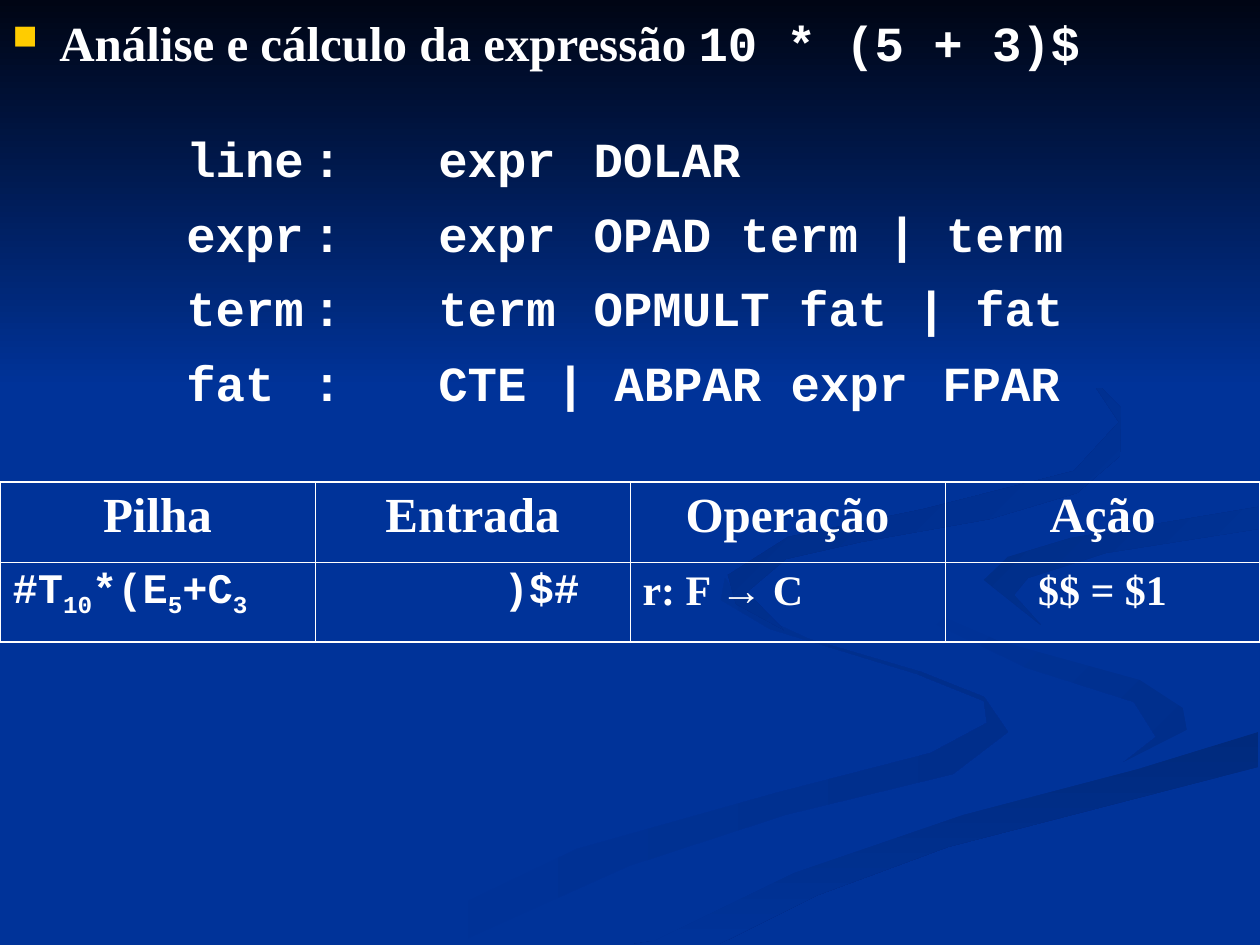
import pptx
import pptx.util
import pptx.dml.color
import pptx.enum.shapes
import pptx.enum.text
import pptx.oxml
import pptx.oxml.ns

RGBColor = pptx.dml.color.RGBColor
ALIGN = pptx.enum.text.PP_ALIGN
SCALE = 914400 / 126  # EMU per px
W, H = 1260, 945

BLUE = RGBColor(0x00, 0x33, 0x99)
NIGHT = RGBColor(0x00, 0x05, 0x14)
BAND_A = RGBColor(0x00, 0x2E, 0x8B)
BAND_B = RGBColor(0x00, 0x2A, 0x7D)
BAND_C = RGBColor(0x00, 0x2D, 0x86)
BAND_D = RGBColor(0x00, 0x2B, 0x82)
WHITE = RGBColor(0xFF, 0xFF, 0xFF)
SERIF, MONO = "Times New Roman", "Courier New"

# Content
TITLE = [("Análise e cálculo da expressão ", SERIF), ("10 * (5 + 3)$", MONO)]
GRAMMAR = [
    "\tline\t:\texpr\t DOLAR",
    "\texpr\t:\texpr\t OPAD term | term",
    "\tterm\t:\tterm\t OPMULT fat | fat",
    "\tfat\t:\tCTE | ABPAR expr\tFPAR",
]
TAB_START, TAB_STEP = 174, 126
GRAMMAR_TABS = [TAB_START + TAB_STEP * n for n in (0, 1, 2, 3, 6)]
HEADERS = ["Pilha", "Entrada", "Operação", "Ação"]
STACK = [("#T", False), ("10", True), ("*(E", False), ("5", True), ("+C", False), ("3", True)]
STEP = [
    dict(runs=STACK, font=MONO),
    dict(runs=[(")$#", False)], font=MONO, left=176),
    dict(runs=[("r: F → C", False)]),
    dict(runs=[("$$ = $1", False)], align=ALIGN.CENTER),
]

# Edges shared by neighbouring ribbons
HOOK = [(912, 585), (925, 609), (999, 641), (1140, 680), (1183, 708), (1187, 730), (1124, 762)]
SWEEP = [(654, 941), (794, 873), (963, 815), (1138, 769), (1258, 732)]
ARM = [(984, 580), (1008, 557), (1071, 538), (1258, 507)]

# Background ribbons: (first colour, last colour, clockwise angle, outline)
RIBBONS = [
    (BLUE, BAND_A, 0, [
        (984, 697), (921, 672), (809, 639), (748, 611), (725, 578), (721, 600), (770, 629),
        (917, 674), (984, 701), (987, 723), (931, 753), (776, 793), (577, 849), (378, 944),
        (455, 944), (629, 866), (785, 815), (953, 774), (1008, 732)]),
    (BLUE, BAND_A, 45, HOOK + [(1156, 737), (1134, 702), (1027, 668), (931, 622)]),
    (BAND_B, BLUE, 90, SWEEP + [(1258, 767), (948, 847), (818, 895), (719, 944), (634, 944)]),
    (BLUE, BLUE, 0, HOOK + [(887, 825), (601, 944)] + SWEEP + [(1258, 678), (1068, 634)]
     + ARM + [(1258, 488), (1072, 518), (951, 544)]),
    (BAND_C, BLUE, 45, ARM + [(1258, 529), (1106, 553), (1028, 578), (1014, 595), (1041, 625)]),
    (BAND_D, BLUE, 45, [
        (861, 542), (990, 519), (1077, 493), (1120, 456), (1121, 408), (1062, 347), (960, 294),
        (1077, 359), (1119, 422), (1074, 471), (924, 509), (788, 537), (728, 575), (736, 604),
        (784, 630), (747, 592), (786, 559)]),
]


def px(n):
    return pptx.util.Emu(round(n * SCALE))


def paint(sp, first, last, angle):
    sp.shadow.inherit = False
    sp.line.fill.background()
    if first == last:
        sp.fill.solid()
        sp.fill.fore_color.rgb = first
        return
    sp.fill.gradient()
    sp.fill.gradient_angle = (360 - angle) % 360
    for stop, colour in zip(sp.fill.gradient_stops, (first, last)):
        stop.color.rgb = colour


def add_xml(parent, xml, index=None):
    tag, rest = xml.split(" ", 1)
    el = pptx.oxml.parse_xml(f"{tag} {pptx.oxml.ns.nsdecls('a')} {rest}")
    parent.insert(len(parent) if index is None else index, el)


def add_text(p, text, *, font=SERIF, size=28, subscript=False):
    r = p.add_run()
    r.text = text
    r.font.name, r.font.size, r.font.bold = font, pptx.util.Pt(size), True
    r.font.color.rgb = WHITE
    if subscript:
        r.font._element.set("baseline", "-25000")


def set_borders(cell, row, col, rows, cols):
    outer = [col == 0, col == cols - 1, row == 0, row == rows - 1]
    for i, (side, is_outer) in enumerate(zip("LRTB", outer)):
        width = pptx.util.Pt(1.08 if is_outer else 0.45)
        add_xml(cell._tc.get_or_add_tcPr(),
                f'<a:ln{side} w="{width}"><a:solidFill><a:srgbClr val="{WHITE}"/>'
                f'</a:solidFill></a:ln{side}>', i)


prs = pptx.Presentation()
prs.slide_width, prs.slide_height = px(W), px(H)
s = prs.slides.add_slide(prs.slide_layouts[6])
s.background.fill.solid()
s.background.fill.fore_color.rgb = BLUE

# Ribbons and the dark fade at the top
for first, last, angle, outline in RIBBONS:
    fb = s.shapes.build_freeform(*outline[0], scale=SCALE)
    fb.add_line_segments(outline[1:], close=True)
    paint(fb.convert_to_shape(), first, last, angle)
fade = s.shapes.add_shape(pptx.enum.shapes.MSO_SHAPE.RECTANGLE, 0, 0, px(W), px(388))
paint(fade, NIGHT, BLUE, 90)

# Parser step table
ROWS, COLS = 2, len(HEADERS)
table = s.shapes.add_table(ROWS, COLS, 0, px(482), px(W), px(160)).table
table.first_row = table.horz_banding = False
header = [dict(runs=[(h, False)], size=28, align=ALIGN.CENTER) for h in HEADERS]
for i, row in enumerate([header, STEP]):
    for j, item in enumerate(row):
        cell = table.cell(i, j)
        cell.fill.background()
        set_borders(cell, i, j, ROWS, COLS)
        p = cell.text_frame.paragraphs[0]
        p.alignment = item.get("align", ALIGN.LEFT)
        if "left" in item:
            p._p.get_or_add_pPr().set("marL", str(px(item["left"])))
        for text, sub in item["runs"]:
            add_text(p, text, font=item.get("font", SERIF), size=item.get("size", 24),
                     subscript=sub)

# Title bullet and grammar rules
tf = s.shapes.add_textbox(0, 0, px(W), px(472)).text_frame
tf.word_wrap = True
tf.margin_top = px(12)
p = tf.paragraphs[0]
pPr = p._p.get_or_add_pPr()
pPr.set("marL", str(px(47)))
pPr.set("indent", str(px(-47)))
for xml in ('<a:buClr ><a:srgbClr val="FFCC00"/></a:buClr>', '<a:buSzPct val="70000"/>',
            '<a:buChar char="■"/>'):
    # A tag without attributes is closed after the namespace is added
    add_xml(pPr, xml)
for text, font in TITLE:
    add_text(p, text, font=font)
tabs = "".join(f'<a:tab pos="{px(t)}" algn="l"/>' for t in GRAMMAR_TABS)
for i, rule in enumerate(GRAMMAR):
    p = tf.add_paragraph()
    add_xml(p._p.get_or_add_pPr(), f"<a:tabLst >{tabs}</a:tabLst>")
    p.space_before = pptx.util.Pt(9 if i else 33)
    add_text(p, rule, font=MONO)

prs.save("out.pptx")
